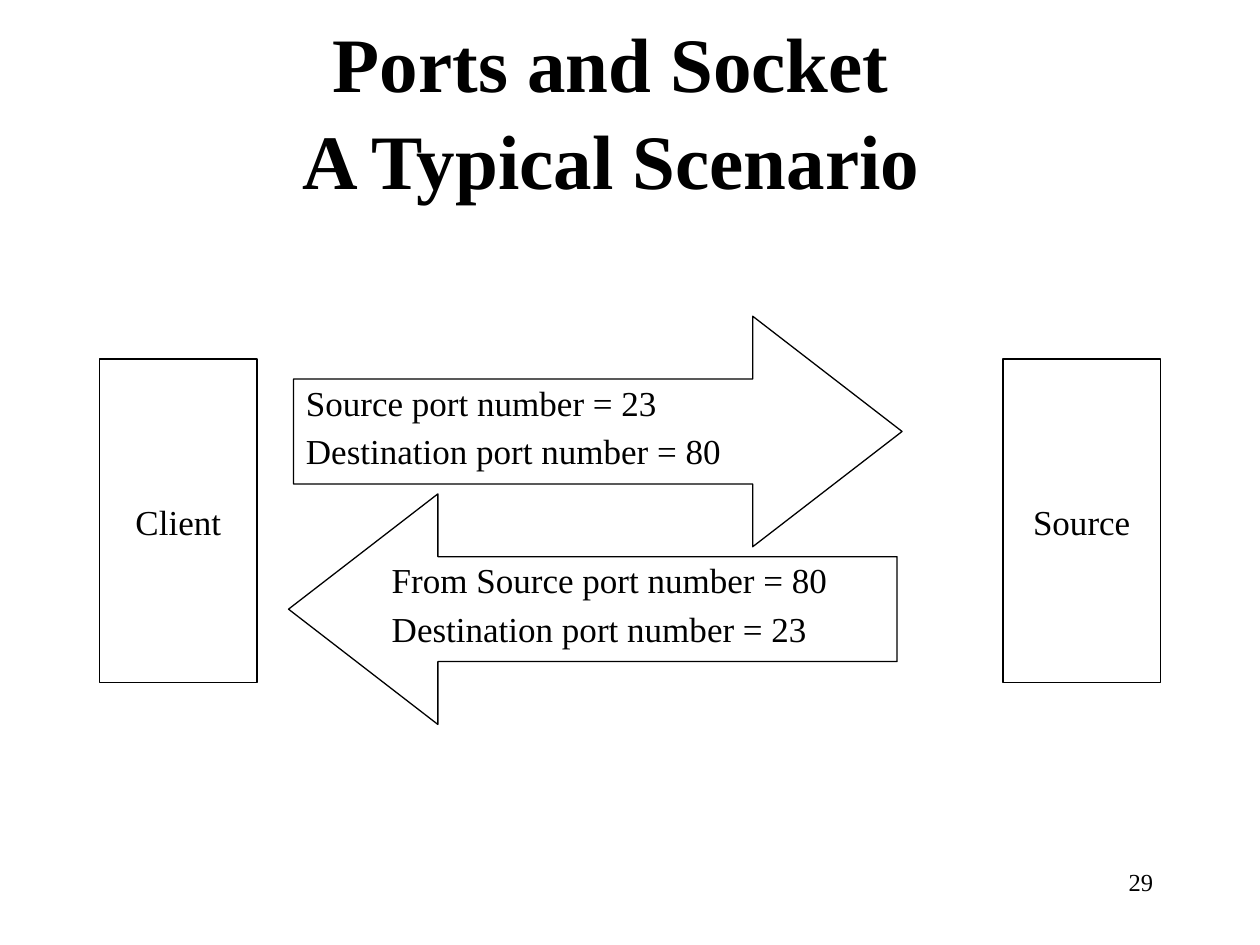
import pptx
import pptx.util
import pptx.dml.color
import pptx.enum.shapes
import pptx.enum.text

Inches, Pt = pptx.util.Inches, pptx.util.Pt
KINDS = pptx.enum.shapes.MSO_SHAPE
ALIGN = pptx.enum.text.PP_ALIGN
MIDDLE = pptx.enum.text.MSO_ANCHOR.MIDDLE
COLORS = {"ink": "000000", "page": "FFFFFF"}
FONT = "Times New Roman"


def color(name):
    """Return the named colour."""
    return pptx.dml.color.RGBColor.from_string(COLORS[name])


def write(frame, text, size, align, bold=False):
    """Fill a text frame and format its runs."""
    frame.text = text
    frame.word_wrap = True
    frame.vertical_anchor = MIDDLE
    for para in frame.paragraphs:
        para.alignment = align
        for run in para.runs:
            run.font.name = FONT
            run.font.size = Pt(size)
            run.font.bold = bold
            run.font.color.rgb = color("ink")


def outline(slide, kind, box):
    """Add an unfilled shape with a thin line."""
    shape = slide.shapes.add_shape(kind, *map(Inches, box))
    shape.shadow.inherit = False
    shape.fill.background()
    shape.line.color.rgb = color("ink")
    shape.line.width = Pt(0.75)
    return shape


def add_title(slide, box):
    """Place the two-line title, its first line a little left of centre."""
    title = slide.shapes.title
    title.left, title.top, title.width, title.height = map(Inches, box)
    write(title.text_frame, "Ports and Socket\nA Typical Scenario", 44, ALIGN.CENTER, True)
    first = title.text_frame.paragraphs[0]
    first.space_after = Pt(2.5)
    first._p.get_or_add_pPr().set("marR", str(Inches(0.3)))
    for para in title.text_frame.paragraphs:
        para.line_spacing = 1.0


def add_host(slide, box, name):
    """Add a host box with its name in the middle."""
    host = outline(slide, KINDS.RECTANGLE, box)
    write(host.text_frame, name, 20, ALIGN.CENTER)


def add_flow(slide, box, kind, text, inset):
    """Add a block arrow that carries the port numbers."""
    arrow = outline(slide, kind, box)
    arrow.adjustments[0] = 0.455
    arrow.adjustments[1] = 0.648
    frame = arrow.text_frame
    write(frame, text, 20, ALIGN.LEFT)
    frame.margin_left = Inches(inset)
    for para in frame.paragraphs:
        para.line_spacing = 0.7
    frame.paragraphs[1].space_before = Pt(10.75)


def add_number(slide, box, text):
    """Add the slide number."""
    frame = slide.shapes.add_textbox(*map(Inches, box)).text_frame
    write(frame, text, 14, ALIGN.RIGHT)
    frame.vertical_anchor = pptx.enum.text.MSO_ANCHOR.TOP


def main():
    """Build and save the slide."""
    deck = pptx.Presentation()
    deck.slide_width, deck.slide_height = Inches(10), Inches(7.5)
    slide = deck.slides.add_slide(deck.slide_layouts[5])
    slide.background.fill.solid()
    slide.background.fill.fore_color.rgb = color("page")
    add_title(slide, (0.75, 0.25, 8.5, 1.25))
    for left, name in ((0.79, "Client"), (7.96, "Source")):
        add_host(slide, (left, 2.85, 1.25, 2.57), name)
    add_flow(slide, (2.29, 3.92, 4.83, 1.83), KINDS.LEFT_ARROW,
             "From Source port number = 80\nDestination port number = 23", 0.28)
    add_flow(slide, (2.33, 2.51, 4.83, 1.83), KINDS.RIGHT_ARROW,
             "Source port number = 23\nDestination port number = 80", 0.1)
    add_number(slide, (7.17, 6.83, 2.08, 0.5), "29")
    deck.save("out.pptx")


if __name__ == "__main__":
    main()
